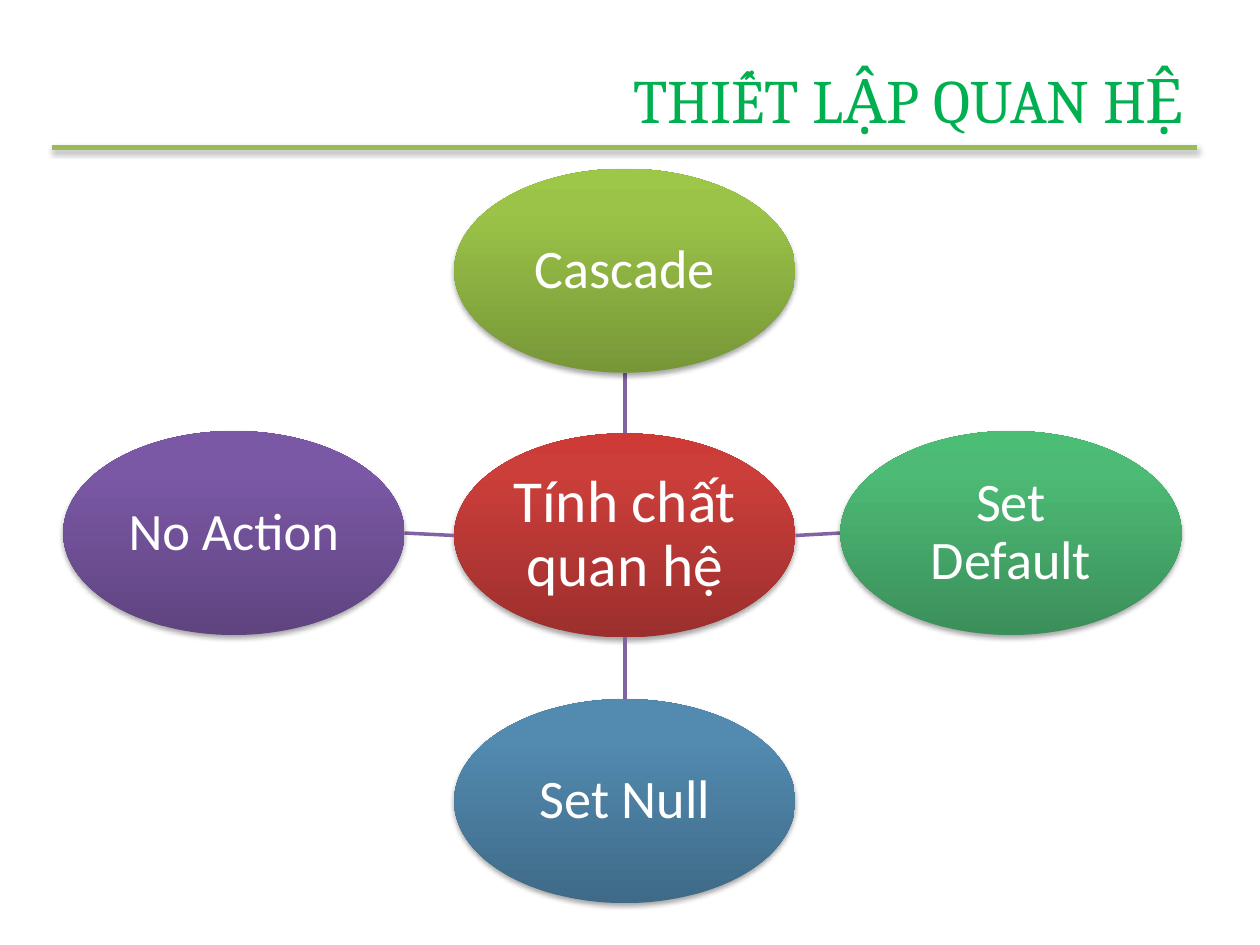
from lxml import etree
from pptx import Presentation
from pptx import util as u
from pptx.dml.color import RGBColor
from pptx.enum import shapes, text
from pptx.oxml.ns import qn

Pt = u.Pt

# Content: label, font size, centre, gradient colours from bottom to top
TITLE = "thiết lập quan hệ"
HUB = ("Tính chất quan hệ", 34, (357, 306), ("9C2F2D", "CB3E3A", "CE3B37"))
# Each outer node also has its direction from the hub
NODES = [
    ("Cascade", 31, (357, 154.7), ("779737", "9BC348", "9DC746"), (0, -1)),
    ("Set Default", 31, (577.7, 304.6), ("3B8F5A", "4DBA75", "4BBD75"), (1, 0)),
    ("Set Null", 31, (357, 457.8), ("3F6A88", "528AB0", "518BB3"), (0, 1)),
    ("No Action", 30, (133.6, 304.6), ("5F4480", "7B58A6", "7C57A8"), (-1, 0)),
]

# Style
NODE_WIDTH, NODE_HEIGHT = 195, 116.6
GRADIENT_POSITIONS = (0, 80, 100)
TITLE_GREEN = RGBColor(0x00, 0xB0, 0x50)
RULE_GREEN = RGBColor(0x9B, 0xBB, 0x59)
SPOKE_PURPLE = RGBColor(0x80, 0x64, 0xA2)
WHITE = RGBColor(0xFF, 0xFF, 0xFF)


def set_effects(shape, shadow):
    effects = etree.SubElement(shape._element.spPr, qn("a:effectLst"))
    if shadow:
        outer = etree.SubElement(effects, qn("a:outerShdw"), blurRad=str(Pt(3.1)),
                                 dist=str(Pt(1.8)), dir="5400000", rotWithShape="0")
        color = etree.SubElement(outer, qn("a:srgbClr"), val="000000")
        etree.SubElement(color, qn("a:alpha"), val="35000")


def set_gradient(shape, colors):
    shape.fill.gradient()
    shape.fill.gradient_angle = 90
    stops = shape._element.spPr.find(".//" + qn("a:gsLst"))
    for stop in list(stops):
        stops.remove(stop)
    for position, color in zip(GRADIENT_POSITIONS, colors):
        stop = etree.SubElement(stops, qn("a:gs"), pos=str(position * 1000))
        etree.SubElement(stop, qn("a:srgbClr"), val=color)


def add_line(slide, start, end, color, width, shadow=False):
    line = slide.shapes.add_connector(
        shapes.MSO_CONNECTOR.STRAIGHT, *(Pt(value) for value in (*start, *end)))
    line.line.color.rgb = color
    line.line.width = Pt(width)
    set_effects(line, shadow)


def add_node(slide, label, size, center, colors):
    x, y = center
    node = slide.shapes.add_shape(
        shapes.MSO_SHAPE.OVAL, Pt(x - NODE_WIDTH / 2), Pt(y - NODE_HEIGHT / 2),
        Pt(NODE_WIDTH), Pt(NODE_HEIGHT))
    set_gradient(node, colors)
    node.line.fill.background()
    set_effects(node, shadow=True)

    frame = node.text_frame
    frame.word_wrap = True
    frame.vertical_anchor = text.MSO_ANCHOR.MIDDLE
    frame.margin_left = frame.margin_right = Pt(1.5)
    frame.margin_top = frame.margin_bottom = Pt(1.5)
    paragraph = frame.paragraphs[0]
    paragraph.text = label
    paragraph.alignment = text.PP_ALIGN.CENTER
    paragraph.line_spacing = 0.9
    paragraph.font.name = "Calibri"
    paragraph.font.size = Pt(size)
    paragraph.font.color.rgb = WHITE


def edge_point(center, direction, sign):
    x, y = center
    dx, dy = direction
    return x + sign * dx * NODE_WIDTH / 2, y + sign * dy * NODE_HEIGHT / 2


def add_title(slide):
    title = slide.shapes.title
    title.left, title.top, title.width, title.height = (
        Pt(value) for value in (104.4, 21.6, 579.6, 62.4))
    title.text_frame.vertical_anchor = text.MSO_ANCHOR.MIDDLE
    paragraph = title.text_frame.paragraphs[0]
    paragraph.alignment = text.PP_ALIGN.RIGHT
    run = paragraph.add_run()
    run.text = TITLE
    run.font.name = "Cambria"
    run.font.size = Pt(44)
    run.font.color.rgb = TITLE_GREEN
    run.font._element.set("cap", "small")


def main():
    presentation = Presentation()
    presentation.slide_width, presentation.slide_height = Pt(720), Pt(540)
    slide = presentation.slides.add_slide(presentation.slide_layouts[5])

    # Title and rule
    add_line(slide, (30, 84.4), (684, 84.4), RULE_GREEN, 3, shadow=True)
    add_title(slide)

    # Hub with spokes to its outer nodes
    add_node(slide, *HUB)
    for label, size, center, colors, direction in NODES:
        add_line(slide, edge_point(HUB[2], direction, 1),
                 edge_point(center, direction, -1), SPOKE_PURPLE, 2)
        add_node(slide, label, size, center, colors)

    presentation.save("out.pptx")


if __name__ == "__main__":
    main()
